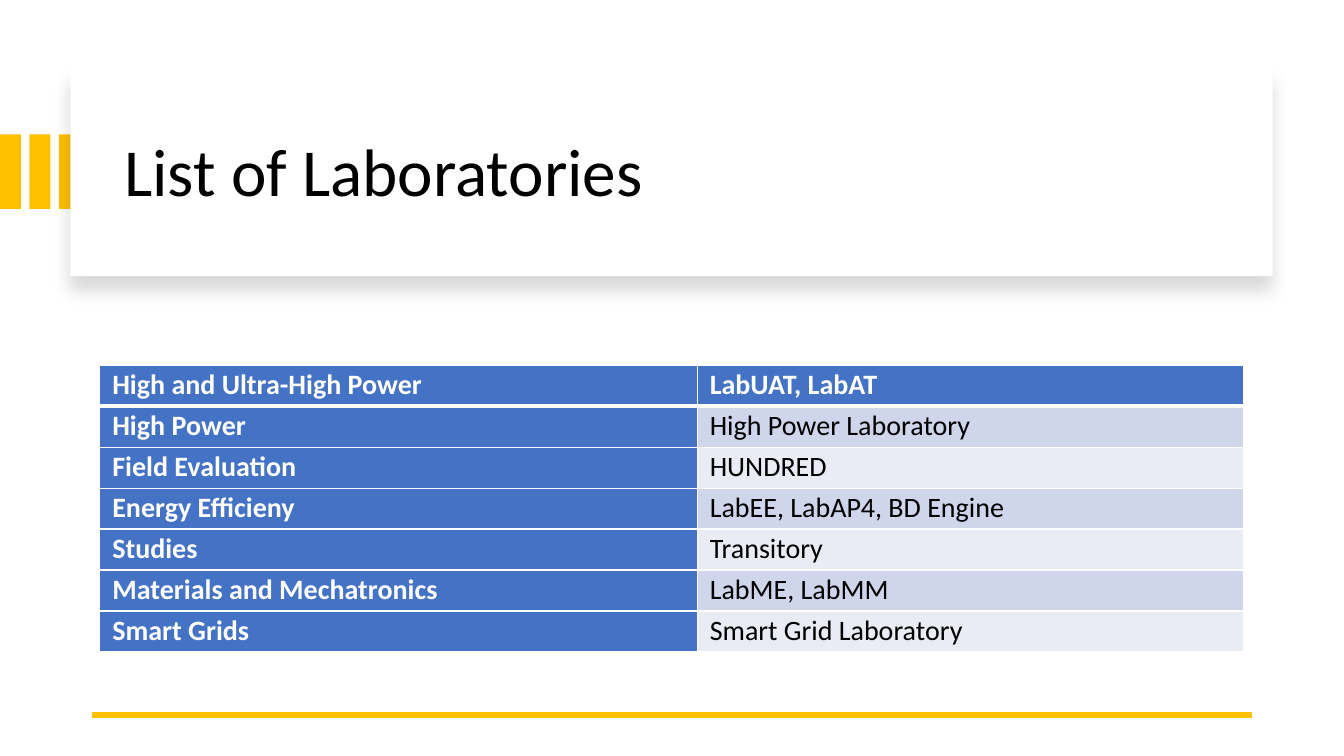
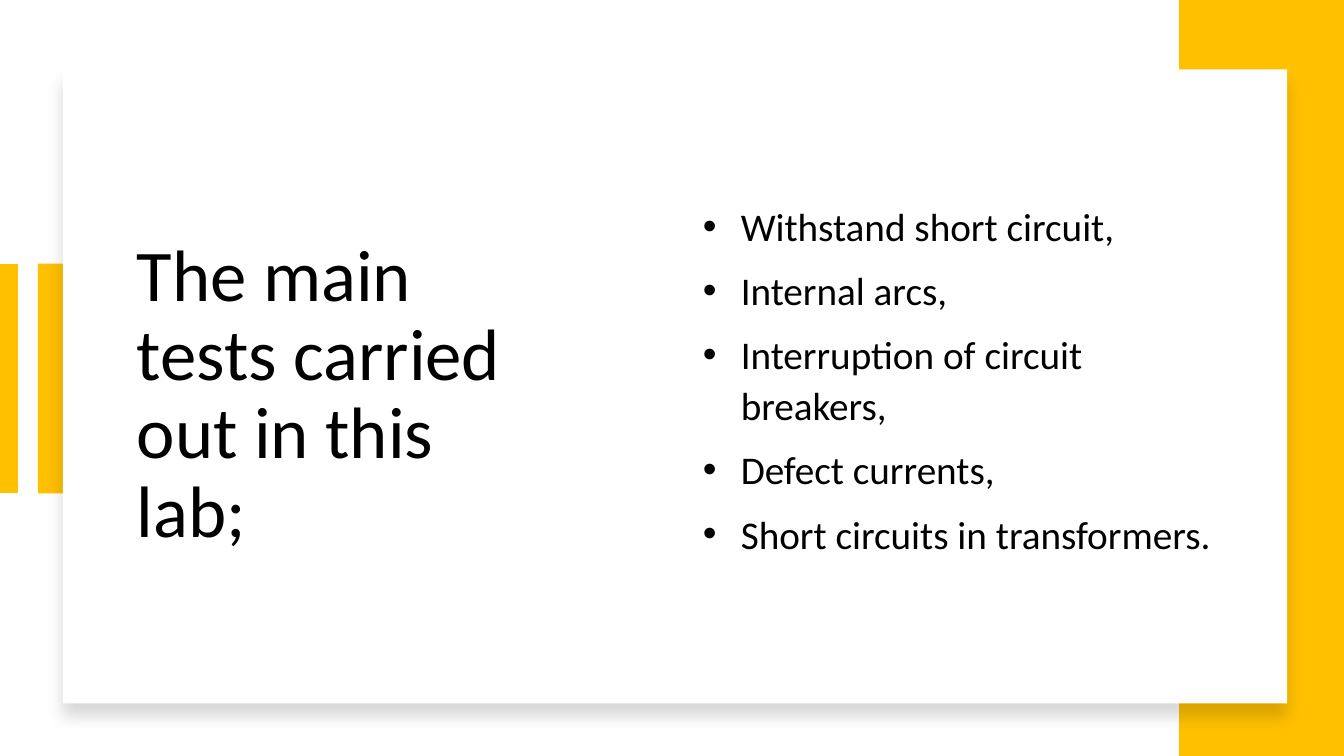
from dataclasses import dataclass
from typing import NamedTuple

from lxml.etree import SubElement
from pptx import Presentation
from pptx.dml.color import RGBColor
from pptx.enum.shapes import MSO_CONNECTOR as Connector, MSO_SHAPE as ShapeKind
from pptx.enum.text import MSO_ANCHOR as Anchor
from pptx.oxml.ns import qn
from pptx.slide import Slide
from pptx.table import _Cell as Cell
from pptx.text.text import TextFrame, _Paragraph as Paragraph
from pptx.util import Emu, Pt

EMU_PER_PX = 9525
SLIDE_WIDTH, SLIDE_HEIGHT = 1280, 720
FONT = "Calibri"
COLORS = {
    "accent": "FFC000",
    "paper": "FFFFFF",
    "ink": "000000",
    "header": "4472C4",
    "band_dark": "CFD5EA",
    "band_light": "E9EBF5",
}


class Box(NamedTuple):
    left: int
    top: int
    width: int
    height: int


class Point(NamedTuple):
    x: int
    y: int


@dataclass(frozen=True)
class TextStyle:
    size: int
    color: str = "ink"
    bold: bool = False
    line_spacing: float = 1.07


@dataclass(frozen=True)
class Title:
    text: str
    box: Box
    size: int


LABORATORIES = [
    ("High and Ultra-High Power", "LabUAT, LabAT"),
    ("High Power", "High Power Laboratory"),
    ("Field Evaluation", "HUNDRED"),
    ("Energy Efficieny", "LabEE, LabAP4, BD Engine"),
    ("Studies", "Transitory"),
    ("Materials and Mechatronics", "LabME, LabMM"),
    ("Smart Grids", "Smart Grid Laboratory"),
]
TESTS = [
    "Withstand short circuit,",
    "Internal arcs,",
    "Interruption of circuit breakers,",
    "Defect currents,",
    "Short circuits in transformers.",
]


def px(length: int) -> Emu:
    return Emu(length * EMU_PER_PX)


def box_emu(box: Box) -> list[Emu]:
    return [px(length) for length in box]


def rgb(name: str) -> RGBColor:
    return RGBColor.from_string(COLORS[name])


def add_rectangle(slide: Slide, box: Box, color: str, raised: bool = False) -> None:
    """Draw a borderless rectangle, with a soft shadow below it if raised."""
    shape = slide.shapes.add_shape(ShapeKind.RECTANGLE, *box_emu(box))
    shape.fill.solid()
    shape.fill.fore_color.rgb = rgb(color)
    shape.line.fill.background()
    shape.shadow.inherit = False
    if raised:
        effects = shape._element.spPr.find(qn("a:effectLst"))
        shadow = SubElement(
            effects, qn("a:outerShdw"), blurRad=str(Pt(11)), dist=str(Pt(10)),
            dir="5400000", algn="t", rotWithShape="0",
        )
        tint = SubElement(shadow, qn("a:srgbClr"), val=COLORS["ink"])
        SubElement(tint, qn("a:alpha"), val="15000")


def add_line(slide: Slide, start: Point, end: Point, weight: float) -> None:
    line = slide.shapes.add_connector(
        Connector.STRAIGHT, px(start.x), px(start.y), px(end.x), px(end.y)
    )
    line.line.color.rgb = rgb("accent")
    line.line.width = Pt(weight)
    SubElement(line._element.spPr, qn("a:effectLst"))


def write(paragraph: Paragraph, text: str, style: TextStyle) -> None:
    paragraph.line_spacing = style.line_spacing
    run = paragraph.add_run()
    run.text = text
    run.font.name = FONT
    run.font.size = Pt(style.size)
    run.font.bold = style.bold
    run.font.color.rgb = rgb(style.color)


def add_text_frame(slide: Slide, box: Box) -> TextFrame:
    frame = slide.shapes.add_textbox(*box_emu(box)).text_frame
    frame.word_wrap = True
    frame.vertical_anchor = Anchor.MIDDLE
    return frame


def add_title_card(slide: Slide, card: Box, title: Title) -> None:
    add_rectangle(slide, card, "paper", raised=True)
    frame = add_text_frame(slide, title.box)
    write(frame.paragraphs[0], title.text, TextStyle(title.size, line_spacing=0.9))


def add_bullets(slide: Slide, box: Box, items: list[str]) -> None:
    frame = add_text_frame(slide, box)
    frame.margin_bottom = px(39)
    indent = px(36)
    for index, item in enumerate(items):
        paragraph = frame.add_paragraph() if index else frame.paragraphs[0]
        properties = paragraph._p.get_or_add_pPr()
        properties.set("marL", str(indent))
        properties.set("indent", str(-indent))
        SubElement(properties, qn("a:buFont"), typeface="Arial")
        SubElement(properties, qn("a:buChar"), char="•")
        if index:
            paragraph.space_before = Pt(10)
        write(paragraph, item, TextStyle(28))


def set_borders(cell: Cell, top: int, bottom: int) -> None:
    properties = cell._tc.get_or_add_tcPr()
    for side, weight in {"L": 1, "R": 1, "T": top, "B": bottom}.items():
        border = SubElement(properties, qn(f"a:ln{side}"), w=str(Pt(weight)))
        fill = SubElement(border, qn("a:solidFill"))
        SubElement(fill, qn("a:srgbClr"), val=COLORS["paper"])


def fill_cell(cell: Cell, text: str, row: int, column: int) -> None:
    is_header = row == 0 or column == 0
    band = "band_dark" if row % 2 else "band_light"
    set_borders(cell, top=3 if row == 1 else 1, bottom=3 if row == 0 else 1)
    cell.fill.solid()
    cell.fill.fore_color.rgb = rgb("header" if is_header else band)
    cell.margin_left = cell.margin_right = px(12)
    cell.margin_top = cell.margin_bottom = 0
    style = TextStyle(20, "paper" if is_header else "ink", bold=is_header)
    write(cell.text_frame.paragraphs[0], text, style)


def add_laboratory_table(slide: Slide, corner: Point) -> None:
    widths, row_height = (569, 520), 39
    box = Box(*corner, sum(widths), row_height * len(LABORATORIES))
    table = slide.shapes.add_table(
        len(LABORATORIES), len(widths), *box_emu(box)
    ).table
    for column, width in zip(table.columns, widths):
        column.width = px(width)
    for row, texts in enumerate(LABORATORIES):
        table.rows[row].height = px(row_height)
        for column, text in enumerate(texts):
            fill_cell(table.cell(row, column), text, row, column)


def build_laboratories(slide: Slide) -> None:
    for index in range(3):
        add_rectangle(slide, Box(index * 28, 128, 20, 71), "accent")
    title = Title("List of Laboratories", Box(109, 85, 1068, 163), 48)
    add_title_card(slide, Box(67, 64, 1145, 199), title)
    add_line(slide, Point(1192, 681), Point(88, 681), 4.5)
    add_laboratory_table(slide, Point(95, 348))


def build_tests(slide: Slide) -> None:
    add_rectangle(slide, Box(36, 251, 33, 219), "accent")
    add_line(slide, Point(8, 251), Point(8, 470), 14)
    add_rectangle(slide, Box(1123, 0, 157, SLIDE_HEIGHT), "accent")
    title = Title(
        "The main tests carried out in this lab;", Box(121, 131, 420, 492), 52
    )
    add_title_card(slide, Box(60, 66, 1166, 604), title)
    add_bullets(slide, Box(660, 131, 522, 492), TESTS)


def main() -> None:
    presentation = Presentation()
    presentation.slide_width = px(SLIDE_WIDTH)
    presentation.slide_height = px(SLIDE_HEIGHT)
    blank = presentation.slide_layouts[6]
    for build in (build_laboratories, build_tests):
        build(presentation.slides.add_slide(blank))
    presentation.save("out.pptx")


if __name__ == "__main__":
    main()
